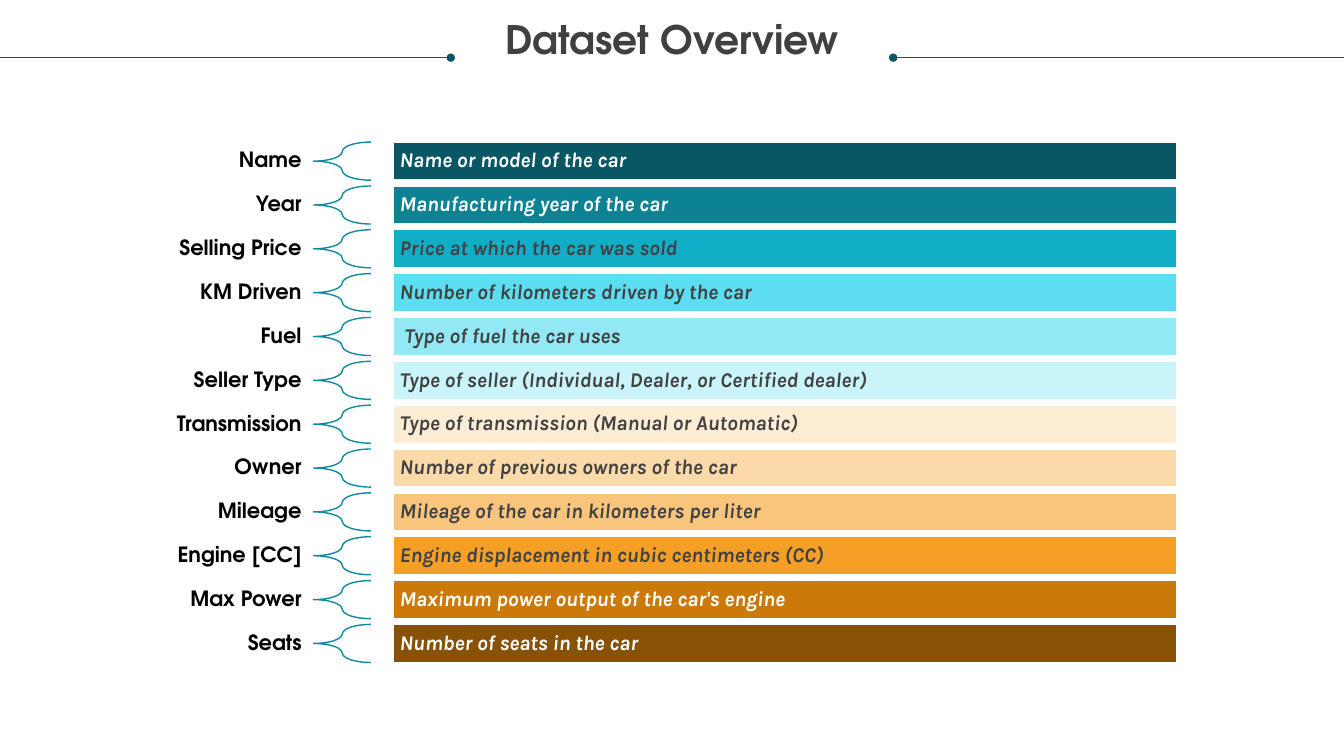
"""Build the Dataset Overview slide: twelve car fields, each with its meaning."""
from lxml.etree import SubElement
from pptx import Presentation
from pptx.dml.color import RGBColor
from pptx.enum.shapes import MSO_CONNECTOR, MSO_SHAPE
from pptx.enum.text import MSO_ANCHOR, MSO_AUTO_SIZE, PP_ALIGN
from pptx.oxml.ns import qn
from pptx.util import Pt

WHITE = RGBColor(0xFF, 0xFF, 0xFF)
BLACK = RGBColor(0x00, 0x00, 0x00)
TITLE_GRAY = RGBColor(0x40, 0x40, 0x40)
TEXT_GRAY = RGBColor(0x42, 0x42, 0x42)
DARK_TEAL = RGBColor(0x08, 0x57, 0x64)
BRACE_TEAL = RGBColor(0x0E, 0x8B, 0x9F)

TITLE = "Dataset Overview"
FIELDS = [
    ("Name", "Name or model of the car", DARK_TEAL, WHITE),
    ("Year", "Manufacturing year of the car", RGBColor(0x0D, 0x82, 0x95), WHITE),
    ("Selling Price", "Price at which the car was sold", RGBColor(0x11, 0xAE, 0xC7), TEXT_GRAY),
    ("KM Driven", "Number of kilometers driven by the car", RGBColor(0x5C, 0xDD, 0xF1), TEXT_GRAY),
    ("Fuel", " Type of fuel the car uses", RGBColor(0x93, 0xE8, 0xF6), TEXT_GRAY),
    ("Seller Type", "Type of seller (Individual, Dealer, or Certified dealer)",
     RGBColor(0xC9, 0xF4, 0xFA), TEXT_GRAY),
    ("Transmission", "Type of transmission (Manual or Automatic)",
     RGBColor(0xFD, 0xEC, 0xD4), TEXT_GRAY),
    ("Owner", "Number of previous owners of the car", RGBColor(0xFB, 0xD9, 0xA8), TEXT_GRAY),
    ("Mileage", "Mileage of the car in kilometers per liter", RGBColor(0xF9, 0xC5, 0x7D), TEXT_GRAY),
    ("Engine [CC]", "Engine displacement in cubic centimeters (CC)",
     RGBColor(0xF5, 0x9F, 0x26), TEXT_GRAY),
    ("Max Power", "Maximum power output of the car's engine", RGBColor(0xCB, 0x7A, 0x09), WHITE),
    ("Seats", "Number of seats in the car", RGBColor(0x87, 0x52, 0x06), WHITE),
]

HEADING_FONT, BODY_FONT = "TeX Gyre Adventor", "Karla"
SLIDE_WIDTH, SLIDE_HEIGHT = 960, 540
RULE_TOP = 41.2
RULES = [(0, 322), (SLIDE_WIDTH, 638)]
FIRST_TOP, PITCH, ROW_HEIGHT = 101.5, 31.32, 27.2
LABEL_LEFT, LABEL_WIDTH, LABEL_HEIGHT = 18, 206, 23
BRACE_LEFT, BRACE_WIDTH = 224, 41
BAR_LEFT, BAR_WIDTH = 281, 559.5


def write_text(shape, text, size, font, color, align, anchor, inset_x, inset_y, italic=False):
    frame = shape.text_frame
    frame.word_wrap = True
    frame.auto_size = MSO_AUTO_SIZE.NONE
    frame.vertical_anchor = anchor
    frame.margin_left = frame.margin_right = Pt(inset_x)
    frame.margin_top = frame.margin_bottom = Pt(inset_y)
    paragraph = frame.paragraphs[0]
    paragraph.alignment = align
    paragraph.line_spacing = 0.9
    run = paragraph.add_run()
    run.text = text
    run.font.size = Pt(size)
    run.font.name = font
    run.font.bold = True
    run.font.italic = italic
    run.font.color.rgb = color


def add_rule(slide, start, end):
    rule = slide.shapes.add_connector(
        MSO_CONNECTOR.STRAIGHT, Pt(start), Pt(RULE_TOP), Pt(end), Pt(RULE_TOP))
    rule.line.color.rgb = DARK_TEAL
    rule.line.width = Pt(0.5)
    SubElement(rule.line._get_or_add_ln(), qn("a:tailEnd"), type="oval")
    SubElement(rule._element.spPr, qn("a:effectLst"))


def add_field(slide, top, name, meaning, fill, text_color):
    label_top = top + (ROW_HEIGHT - LABEL_HEIGHT) / 2
    label = slide.shapes.add_textbox(
        Pt(LABEL_LEFT), Pt(label_top), Pt(LABEL_WIDTH), Pt(LABEL_HEIGHT))
    write_text(label, name, 15, HEADING_FONT, BLACK, PP_ALIGN.RIGHT, MSO_ANCHOR.MIDDLE, 8.6, 2.9)

    brace = slide.shapes.add_shape(
        MSO_SHAPE.LEFT_BRACE, Pt(BRACE_LEFT), Pt(top), Pt(BRACE_WIDTH), Pt(ROW_HEIGHT))
    brace.shadow.inherit = False
    brace.adjustments[0] = 0.35
    brace.fill.background()
    brace.line.color.rgb = BRACE_TEAL
    brace.line.width = Pt(1)

    bar = slide.shapes.add_shape(
        MSO_SHAPE.RECTANGLE, Pt(BAR_LEFT), Pt(top), Pt(BAR_WIDTH), Pt(ROW_HEIGHT))
    bar.shadow.inherit = False
    bar.fill.solid()
    bar.fill.fore_color.rgb = fill
    bar.line.color.rgb = WHITE
    bar.line.width = Pt(1)
    write_text(bar, meaning, 15, BODY_FONT, text_color, PP_ALIGN.LEFT, MSO_ANCHOR.MIDDLE,
               4.5, 4.5, italic=True)


def main():
    presentation = Presentation()
    presentation.slide_width = Pt(SLIDE_WIDTH)
    presentation.slide_height = Pt(SLIDE_HEIGHT)
    slide = presentation.slides.add_slide(presentation.slide_layouts[5])

    title = slide.shapes.title
    title.left, title.top, title.width, title.height = Pt(18), Pt(15), Pt(924), Pt(30.2)
    write_text(title, TITLE, 28, HEADING_FONT, TITLE_GRAY, PP_ALIGN.CENTER, MSO_ANCHOR.TOP, 0, 0)

    for start, end in RULES:
        add_rule(slide, start, end)
    for index, field in enumerate(FIELDS):
        add_field(slide, FIRST_TOP + index * PITCH, *field)

    presentation.save("out.pptx")


if __name__ == "__main__":
    main()
